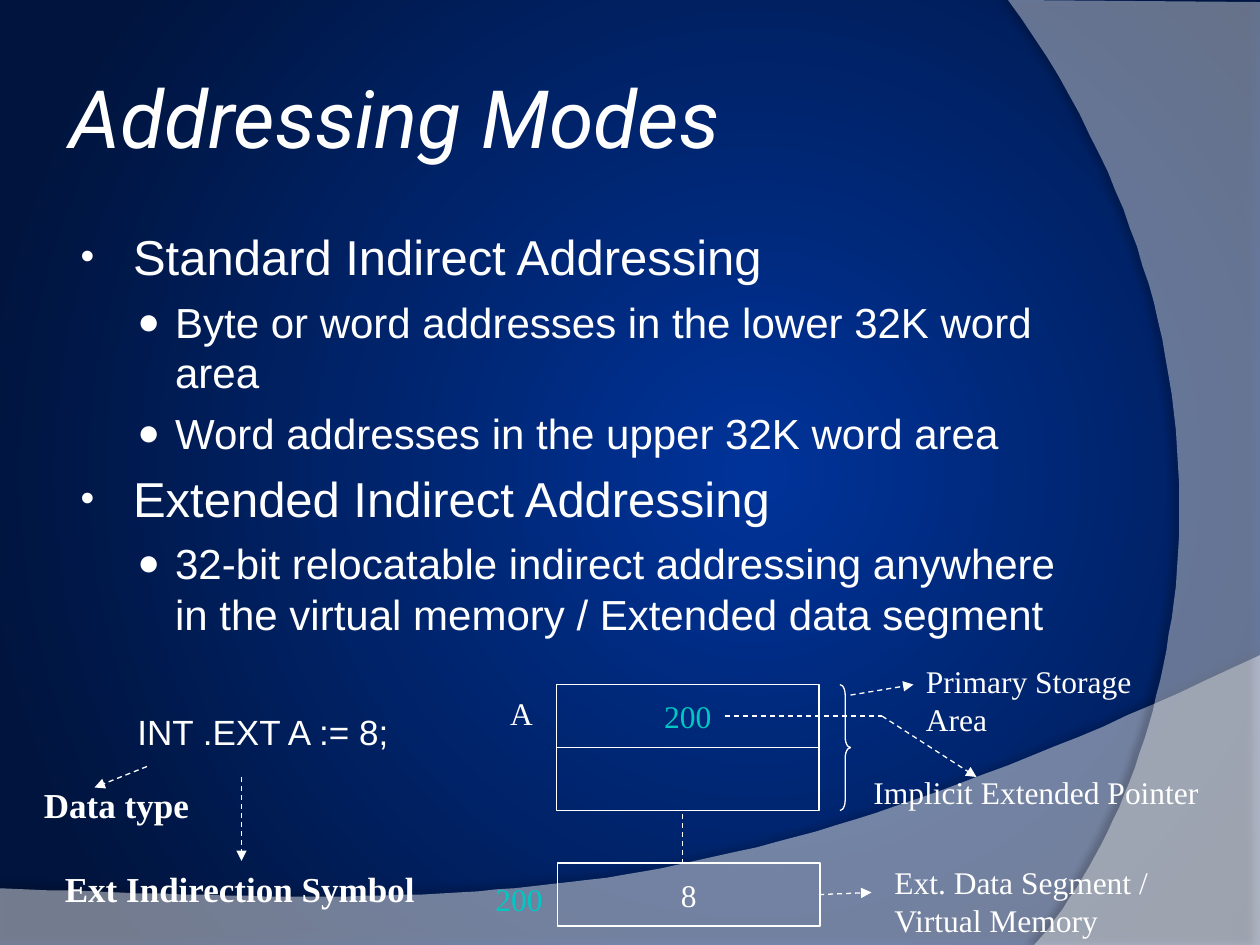
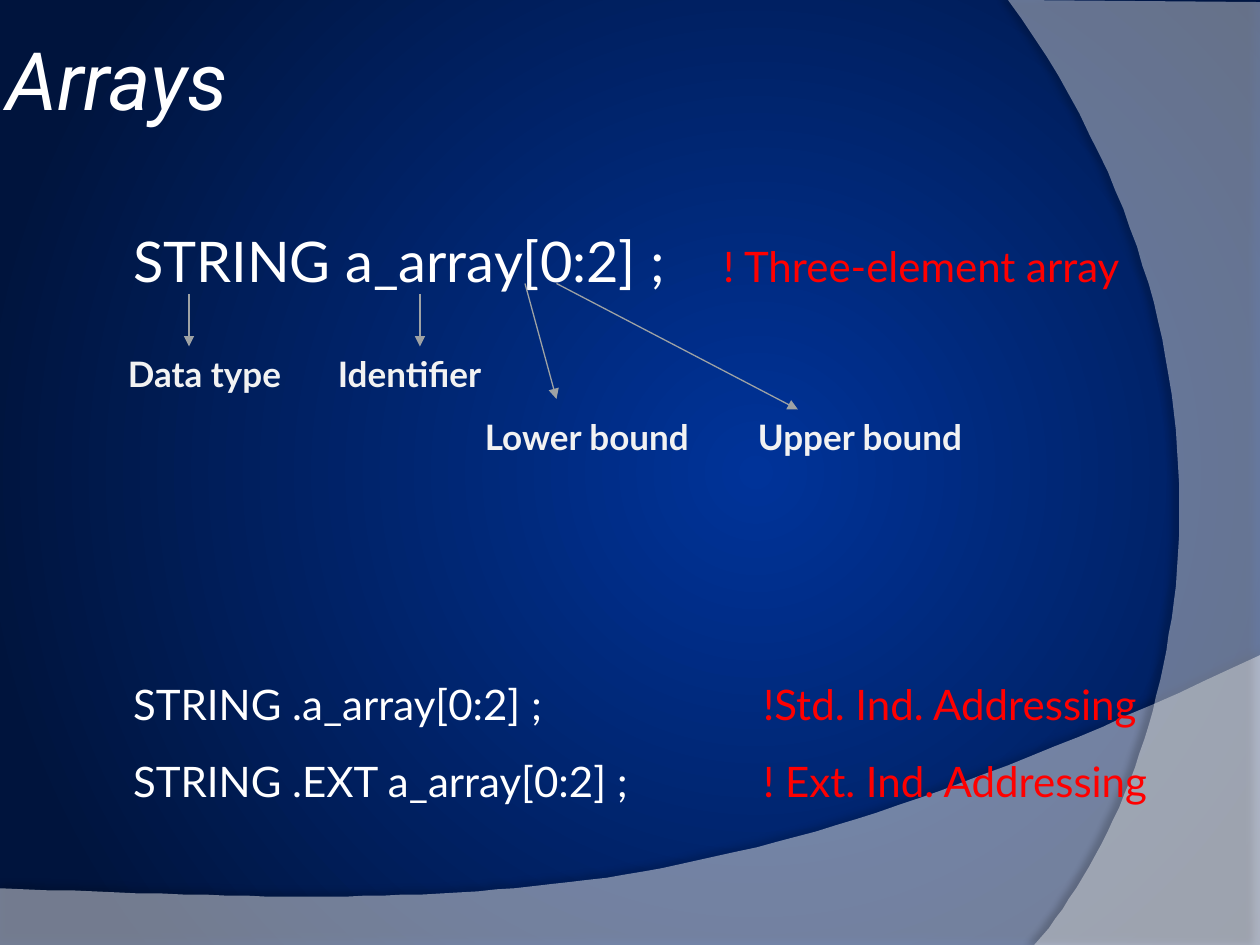
from pptx import Presentation
from pptx.dml.color import RGBColor as Rgb
from pptx.enum.dml import MSO_LINE as Dash
from pptx.enum.shapes import MSO_CONNECTOR as Conn, MSO_SHAPE as Form
from pptx.enum.text import MSO_ANCHOR as Anchor, PP_ALIGN as Align
from pptx.oxml import parse_xml
from pptx.oxml.ns import nsdecls
from pptx.util import Pt

PX = 7620
NS = nsdecls("a", "p")
INK = {"white": "FFFFFF", "pale": "F2F2F2", "grey": "9EA2A4", "teal": "00C8C3",
       "red": "FF0000", "blue": "003399", "navy": "00143D", "black": "000000"}
SERIF = "Times New Roman"


def text(slide, area, rows, size=18, font=SERIF, ink="white", bold=False,
         italic=False, edge=False, middle=False, inset=12, stop=0):
    spot = [n * PX for n in area]
    if edge:
        box = slide.shapes.add_shape(Form.RECTANGLE, *spot)
        box.shadow.inherit = False
        box.fill.background()
        box.line.color.rgb = Rgb.from_string(INK["white"])
        box.line.width = Pt(0.75)
    else:
        box = slide.shapes.add_textbox(*spot)
    frame = box.text_frame
    frame.word_wrap = not edge
    frame.margin_left = frame.margin_right = inset * PX
    frame.vertical_anchor = Anchor.MIDDLE if edge or middle else Anchor.TOP
    rows = [{"runs": [(rows, {})]}] if isinstance(rows, str) else rows
    for i, row in enumerate(rows):
        para = frame.paragraphs[0] if i == 0 else frame.add_paragraph()
        para.alignment = Align.CENTER if edge else Align.LEFT
        prop = para._p.get_or_add_pPr()
        if "left" in row:
            prop.set("marL", str(row["left"] * PX))
            prop.set("indent", str(row["hang"] * PX))
        if i:
            para.space_before = Pt(row["gap"])
        if "mark" in row:
            for tag in (f'buClr {NS}><a:srgbClr val="{INK["white"]}"/></a:buClr',
                        f'buSzPct {NS} val="{row["scale"]}000"/',
                        f'buFont {NS} typeface="Arial"/',
                        f'buChar {NS} char="{row["mark"]}"/'):
                prop.append(parse_xml(f"<a:{tag}>"))
        if stop:
            prop.append(parse_xml(
                f'<a:tabLst {NS}><a:tab pos="{stop * PX}" algn="l"/></a:tabLst>'))
        for words, own in row["runs"]:
            run = para.add_run()
            run.text = words
            run.font.size = Pt(own.get("size", size))
            run.font.name = font
            run.font.bold = bold
            run.font.italic = italic
            run.font.color.rgb = Rgb.from_string(INK[own.get("ink", ink)])


def line(slide, ends, ink="white", dash=True, head=True):
    wire = slide.shapes.add_connector(Conn.STRAIGHT, *[n * PX for n in ends])
    wire.line.color.rgb = Rgb.from_string(INK[ink])
    wire.line.width = Pt(0.75)
    if dash:
        wire.line.dash_style = Dash.DASH
    if head:
        wire.line._get_or_add_ln().append(parse_xml(f'<a:tailEnd {NS} type="triangle"/>'))
    wire._element.spPr.append(parse_xml(f"<a:effectLst {NS}/>"))


deck = Presentation()
deck.slide_width = 1200 * PX
deck.slide_height = 900 * PX

bands = [
    ([(0, 846), (0, 900), (1200, 900), (1200, 624)],
     [(1200, 624), (671, 875), (469, 863), (0, 846)], 45, 35, 3.5, 270),
    ([(1200, 2), (1200, 900), (985, 900)],
     [(985, 900), (1122, 743), (1222, 360), (960, 0)], 40, 45, 4, 180),
]
titles = [("Addressing Modes", (60, 36, 980, 150)), ("Arrays", (0, 0, 980, 150))]
slides = []
for title, area in titles:
    slide = deck.slides.add_slide(deck.slide_layouts[6])
    slides.append(slide)
    slide._element.cSld.insert(0, parse_xml(
        f'<p:bg {NS}><p:bgPr><a:gradFill rotWithShape="1"><a:gsLst>'
        f'<a:gs pos="0"><a:srgbClr val="{INK["blue"]}"/></a:gs>'
        f'<a:gs pos="100000"><a:srgbClr val="{INK["navy"]}"/></a:gs></a:gsLst>'
        '<a:path path="circle"><a:fillToRect l="60000" t="50000" r="40000" b="50000"/>'
        '</a:path></a:gradFill><a:effectLst/></p:bgPr></p:bg>'))
    for edge, curve, fill, shade, dist, turn in bands:
        dots = list(edge)
        for n in range(1, 61):
            t = n / 60
            mix = [(1 - t) ** 3, 3 * t * (1 - t) ** 2, 3 * t * t * (1 - t), t ** 3]
            dots.append(tuple(sum(m * p[k] for m, p in zip(mix, curve)) for k in (0, 1)))
        pen = slide.shapes.build_freeform(*dots[0], scale=PX)
        pen.add_line_segments(dots[1:], close=True)
        band = pen.convert_to_shape()
        band.fill.solid()
        band.fill.fore_color.rgb = Rgb.from_string(INK["white"])
        band.line.fill.background()
        band.shadow.inherit = False
        props = band._element.spPr
        props.find(".//{*}solidFill/{*}srgbClr").append(
            parse_xml(f'<a:alpha {NS} val="{fill}000"/>'))
        props[-1].append(parse_xml(
            f'<a:outerShdw {NS} blurRad="{Pt(4)}" dist="{Pt(dist)}" dir="{turn * 60000}" '
            f'algn="ctr" rotWithShape="0"><a:srgbClr val="{INK["black"]}">'
            f'<a:alpha val="{shade}000"/></a:srgbClr></a:outerShdw>'))
    text(slide, area, title, size=46, font="Roboto", italic=True, middle=True, inset=6)

modes, arrays = slides

top = {"left": 55, "hang": -50, "gap": 6, "mark": "•", "scale": 80}
sub = {"left": 95, "hang": -36, "gap": 6, "mark": "●", "scale": 90}
code = {"left": 95, "hang": -36, "gap": 41}
points = [
    (top, 28, "Standard Indirect Addressing"),
    (sub, 24, "Byte or word addresses in the lower 32K word area"),
    (sub, 24, "Word addresses in the upper 32K word area"),
    (top, 28, "Extended Indirect Addressing"),
    (sub, 24, "32-bit relocatable indirect addressing anywhere in the virtual memory"
              " / Extended data segment"),
    (code, 20, "INT .EXT A := 8;"),
]
text(modes, (60, 210, 980, 594),
     [{**kind, "runs": [(words, {"size": size})]} for kind, size, words in points],
     font="Arial")

for x, y, words, ink in [(530, 652, "200", "teal"), (530, 712, "", "white"),
                         (531, 822, "8", "white")]:
    text(modes, (x, y, 250, 60), words, ink=ink, edge=True)

brace = modes.shapes.add_shape(Form.RIGHT_BRACE, *[n * PX for n in (800, 652, 10, 120)])
brace.adjustments[0] = 1
brace.shadow.inherit = False
brace.fill.background()
brace.line.color.rgb = Rgb.from_string(INK["white"])
brace.line.width = Pt(0.75)

for ends in [(650, 775, 650, 822), (690, 682, 840, 682)]:
    line(modes, ends, head=False)
for ends in [(840, 682, 930, 740), (810, 662, 870, 652), (780, 852, 830, 850),
             (140, 730, 90, 750), (230, 740, 230, 820)]:
    line(modes, ends)

for area, words, ink in [
    ((474, 655, 40, 48), "A", "white"),
    ((460, 832, 70, 48), "200", "teal"),
    ((820, 730, 380, 48), "Implicit Extended Pointer", "white"),
    ((870, 625, 280, 48), "Primary Storage Area", "white"),
    ((840, 816, 320, 84), "Ext. Data Segment / Virtual Memory", "white"),
]:
    text(modes, area, words, ink=ink)
for area, words in [((30, 740, 170, 52), "Data type"),
                    ((50, 820, 360, 52), "Ext Indirection Symbol")]:
    text(modes, area, words, size=20, bold=True)

for y, size, stop, words, note in [
    (210, 32, 562, "STRING a_array[0:2] ;", "! Three-element array"),
    (640, 24, 600, "STRING .a_array[0:2] ;", "!Std. Ind. Addressing"),
    (714, 24, 600, "STRING .EXT a_array[0:2] ;", "! Ext. Ind. Addressing"),
]:
    text(arrays, (115, y, 1025, 80),
         [{"runs": [(words + "\t", {"size": size}), (note, {"ink": "red"})]}],
         size=24, font="Lato", stop=stop)

for x, y, wide, words, ends in [
    (110, 330, 170, "Data type", (180, 280, 180, 330)),
    (310, 330, 170, "Identifier", (400, 280, 400, 330)),
    (450, 390, 240, "Lower bound", (500, 270, 530, 380)),
    (710, 390, 240, "Upper bound", (530, 270, 760, 390)),
]:
    line(arrays, ends, ink="grey", dash=False)
    text(arrays, (x, y, wide, 52), words, size=20, font="Lato", ink="pale", bold=True)

deck.save("out.pptx")
